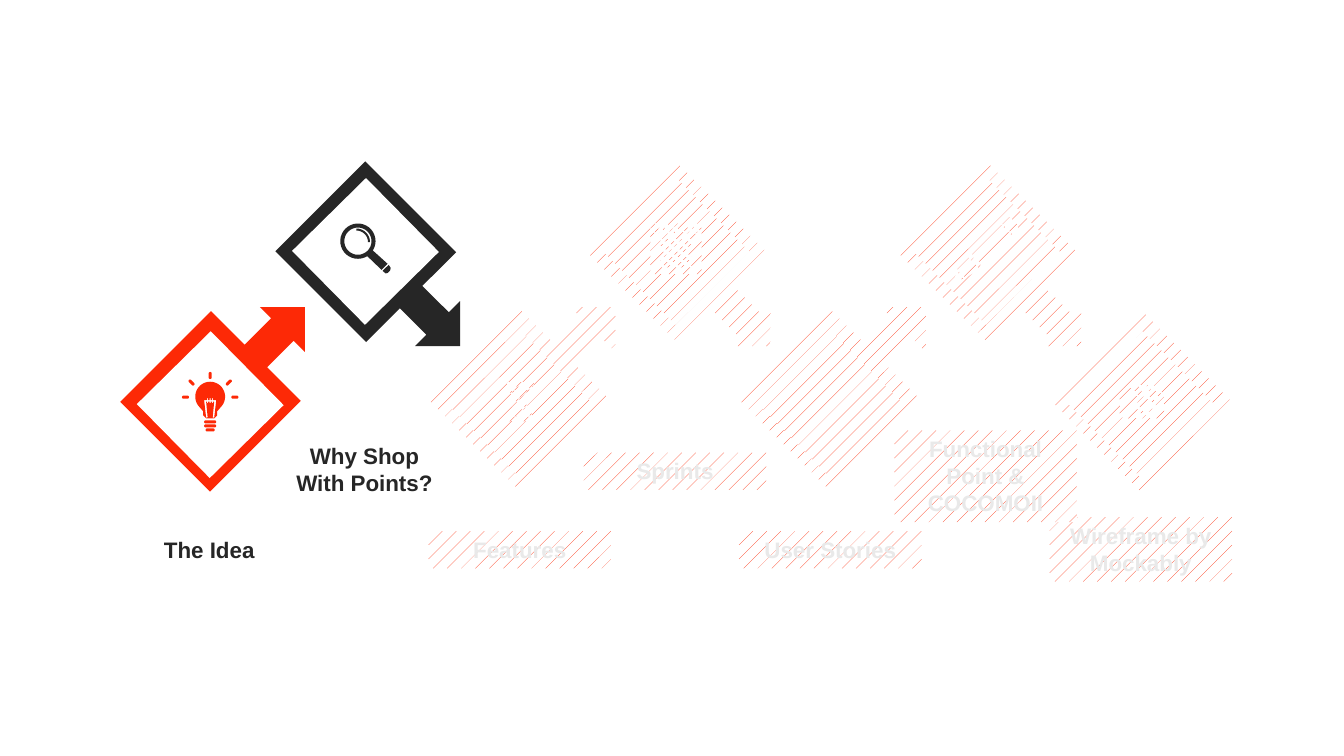
from dataclasses import dataclass
from math import atan2, cos, pi, radians, sin

from pptx import Presentation
from pptx.dml.color import RGBColor
from pptx.enum.dml import MSO_PATTERN
from pptx.enum.shapes import MSO_SHAPE
from pptx.enum.text import MSO_ANCHOR, MSO_AUTO_SIZE, PP_ALIGN
from pptx.util import Inches, Pt


@dataclass(frozen=True)
class Theme:
    red: RGBColor = RGBColor(0xFD, 0x29, 0x06)
    dark: RGBColor = RGBColor(0x26, 0x26, 0x26)
    pale: RGBColor = RGBColor(0xE9, 0xE9, 0xE9)
    white: RGBColor = RGBColor(0xFF, 0xFF, 0xFF)
    font: str = "Arial"
    label_size: int = 16


THEME = Theme()
PITCH = 1.54
CALLOUT_W, CALLOUT_H = 1.26, 1.96
DIAMOND, LAST_DIAMOND = 1.03, 1.27
LABEL_W = 1.81


def arc(cx, cy, r, start=0, end=360, count=32):
    angles = [radians(start + (end - start) * i / count) for i in range(count + 1)]
    return [(cx + r * cos(a), cy + r * sin(a)) for a in angles]


def block(left, top, right, bottom):
    return [(left, top), (right, top), (right, bottom), (left, bottom)]


def capsule(x1, y1, x2, y2, width):
    turn = atan2(y2 - y1, x2 - x1) * 180 / pi
    return (arc(x1, y1, width / 2, turn + 90, turn + 270, 8)
            + arc(x2, y2, width / 2, turn - 90, turn + 90, 8))


def bulb():
    threads = [capsule(28 - half, y, 28 + half, y, 3)
               for y, half in ((49.5, 4.5), (53.5, 4.5), (57.5, 3))]
    rays = [capsule(*ray, 3) for ray in (
        (1.5, 25, 5.5, 25), (50.5, 25, 54.5, 25), (28, 1.5, 28, 5.5),
        (8, 9, 11, 12), (48, 9, 45, 12))]
    glass = arc(28, 24.5, 14.8, 135, 405) + [
        (35, 39), (35, 43), (32, 46), (24, 46), (21, 43), (21, 39)]
    coils = (25.5, 28, 30.5)
    upper = [p for x in coils
             for p in ((x - .5, 28), (x - .5, 26), (x + .5, 26), (x + .5, 28))]
    lower = [p for x in reversed(coils)
             for p in ((x + .5, 29.5), (x + .5, 31), (x - .5, 31), (x - .5, 29.5))]
    filament = ([(22, 28)] + upper + [(34, 28), (32, 45.5), (30.5, 45), (32, 29.5)]
                + lower + [(24, 29.5), (25.5, 45), (24, 45.5)])
    return [*threads, *rays, glass, filament]


def magnifier():
    rim_and_handle = arc(17.5, 17.5, 17.5, 58, 392) + [(47, 40), (41, 46)]
    glare = arc(16, 18.5, 13.5, 270, 360) + arc(16, 18.5, 11.5, 360, 270)
    tip = [(48, 41), (50, 44), (49.5, 46.5), (47, 49), (45, 49.5), (42, 47)]
    return [rim_and_handle, arc(17.5, 17.5, 13.5), glare, tip]


def hourglass():
    caps = [capsule(2, y, 25, y, 4) for y in (2, 37)]
    outer = [(2, 4), (3, 10), (5, 15), (10, 20), (5, 25), (3, 29), (2, 35),
             (25, 35), (24, 29), (22, 25), (16, 20), (22, 14), (24, 10), (25, 4)]
    inner = [(4, 4.5), (5, 10), (7, 13), (13, 18), (13, 21), (7, 27), (5, 31),
             (5, 34.5), (23, 34.5), (22, 31), (20, 27), (14, 21), (14, 18),
             (20, 12), (22, 9), (22, 4.5)]
    upper_sand = [(7, 8), (20, 8), (19, 11), (13, 16), (8, 11)]
    lower_sand = [(7, 34), (7, 28), (14, 27), (21, 28), (21, 34)]
    return [*caps, outer, inner, upper_sand, lower_sand]


def notepad():
    rules = [capsule(11.2, 17.2 + 5.2 * i, 39.8, 17.2 + 5.2 * i, 2.4) for i in range(6)]
    rings = [6.3 + 9.7 * i for i in range(5)]
    notches = [[(x - 3.5, 5), (x + 3.5, 5)] + arc(x, 7.5, 3.5, 0, 180, 12) for x in rings]
    wires = [capsule(x, 1.7, x, 8.3, 3.4) for x in rings]
    return [block(0, 5, 51, 51), *rules, *notches, *wires]


def pencil():
    return [
        [(2, 55), (9, 62), (0, 64)],
        [(10, 40), (16, 42), (17, 47), (23, 49), (24, 54), (11, 61), (3, 53)],
        [(55, 17), (58, 20), (26, 53), (26, 47)],
        [(48, 10), (54, 16), (25, 45), (19, 45), (19, 40)],
        [(44, 6), (47, 9), (18, 38), (12, 38), (11, 38)],
        [(52, 0), (55, 1), (63, 9), (64, 13), (63, 16), (59, 19), (45, 5), (48, 1)],
    ]


def camera():
    body = [(19, 0), (34, 0), (34, 6), (40, 6), (44, 9), (44, 30), (40, 33), (4, 33),
            (0, 30), (0, 9), (4, 6), (4, 4), (5, 3), (11, 3), (12, 4), (12, 6), (19, 6)]
    windows = [block(15, 9, 18, 11), block(36, 8, 41, 11), block(22, 1, 31, 6)]
    return [body, *windows, arc(26.5, 20.5, 9.5), arc(26.5, 20.5, 6.5)]


STEPS = [
    ("The Idea", 5.27, 0.37, bulb, THEME.red),
    ("Why Shop With Points?", 4.34, 0.64, magnifier, THEME.dark),
    ("Features", 5.27, 0.37, hourglass, None),
    ("Sprints", 4.49, 0.37, notepad, None),
    ("User Stories", 5.27, 0.37, None, None),
    ("Functional Point &\vCOCOMOII", 4.27, 0.91, pencil, None),
    ("Wireframe by Mockably", 5.13, 0.64, camera, None),
]


def apply(target, values):
    for key, value in values.items():
        setattr(target, key, value)


def paint(part, color):
    if color is None:
        part.fill.patterned()
        apply(part.fill, {"pattern": MSO_PATTERN.PERCENT_5})
        part.fill.fore_color.rgb = THEME.red
        part.fill.back_color.rgb = THEME.white
    else:
        part.fill.solid()
        part.fill.fore_color.rgb = color
    part.line.fill.background()
    part.shadow.inherit = False


def add_rotated(slide, preset, box, rotation, color):
    part = slide.shapes.add_shape(preset, *map(Inches, box))
    part.rotation = rotation
    paint(part, color)


def add_icon(slide, contours, cx, cy, color):
    xs, ys = zip(*[point for contour in contours for point in contour])
    left = cx * 100 - (min(xs) + max(xs)) / 2
    top = cy * 100 - (min(ys) + max(ys)) / 2
    placed = [[(Inches((left + x) / 100), Inches((top + y) / 100)) for x, y in contour]
              for contour in contours]
    builder = slide.shapes.build_freeform(*placed[0][0])
    for index, (start, *rest) in enumerate(placed):
        if index:
            builder.move_to(*start)
        builder.add_line_segments(rest, close=True)
    paint(builder.convert_to_shape(), color)


def add_step(slide, left, raised, last, icon, color):
    if last:
        add_rotated(slide, MSO_SHAPE.RECTANGLE,
                    (left - 0.25, 3.35, LAST_DIAMOND, LAST_DIAMOND), 45.4, color)
    else:
        add_rotated(slide, MSO_SHAPE.UP_ARROW_CALLOUT,
                    (left, 1.76 if raised else 2.76, CALLOUT_W, CALLOUT_H),
                    135 if raised else 45, color)
    inner_left, inner_top = left - 0.13, 1.98 if raised else 3.5
    add_rotated(slide, MSO_SHAPE.RECTANGLE, (inner_left, inner_top, DIAMOND, DIAMOND),
                45.4, THEME.white if color else None)
    if icon:
        add_icon(slide, icon(), inner_left + DIAMOND / 2,
                 inner_top + DIAMOND / 2 - 0.03, color)


def add_label(slide, text, box, active):
    label = slide.shapes.add_textbox(*map(Inches, box))
    if not active:
        paint(label, None)
    frame = label.text_frame
    apply(frame, {"text": text, "word_wrap": True,
                  "auto_size": MSO_AUTO_SIZE.SHAPE_TO_FIT_TEXT,
                  "vertical_anchor": MSO_ANCHOR.TOP})
    for paragraph in frame.paragraphs:
        paragraph.alignment = PP_ALIGN.CENTER
        for run in paragraph.runs:
            apply(run.font, {"name": THEME.font, "size": Pt(THEME.label_size), "bold": True})
            run.font.color.rgb = THEME.dark if active else THEME.pale


def main():
    deck = Presentation()
    apply(deck, {"slide_width": Inches(13.33), "slide_height": Inches(7.5)})
    slide = deck.slides.add_slide(deck.slide_layouts[6])
    for index, (_, _, _, icon, color) in enumerate(STEPS):
        add_step(slide, 1.7 + PITCH * index, index % 2 == 1,
                 index == len(STEPS) - 1, icon, color)
    for index, (text, top, height, _, color) in reversed(list(enumerate(STEPS))):
        add_label(slide, text, (1.17 + PITCH * index, top, LABEL_W, height), bool(color))
    deck.save("out.pptx")


if __name__ == "__main__":
    main()
